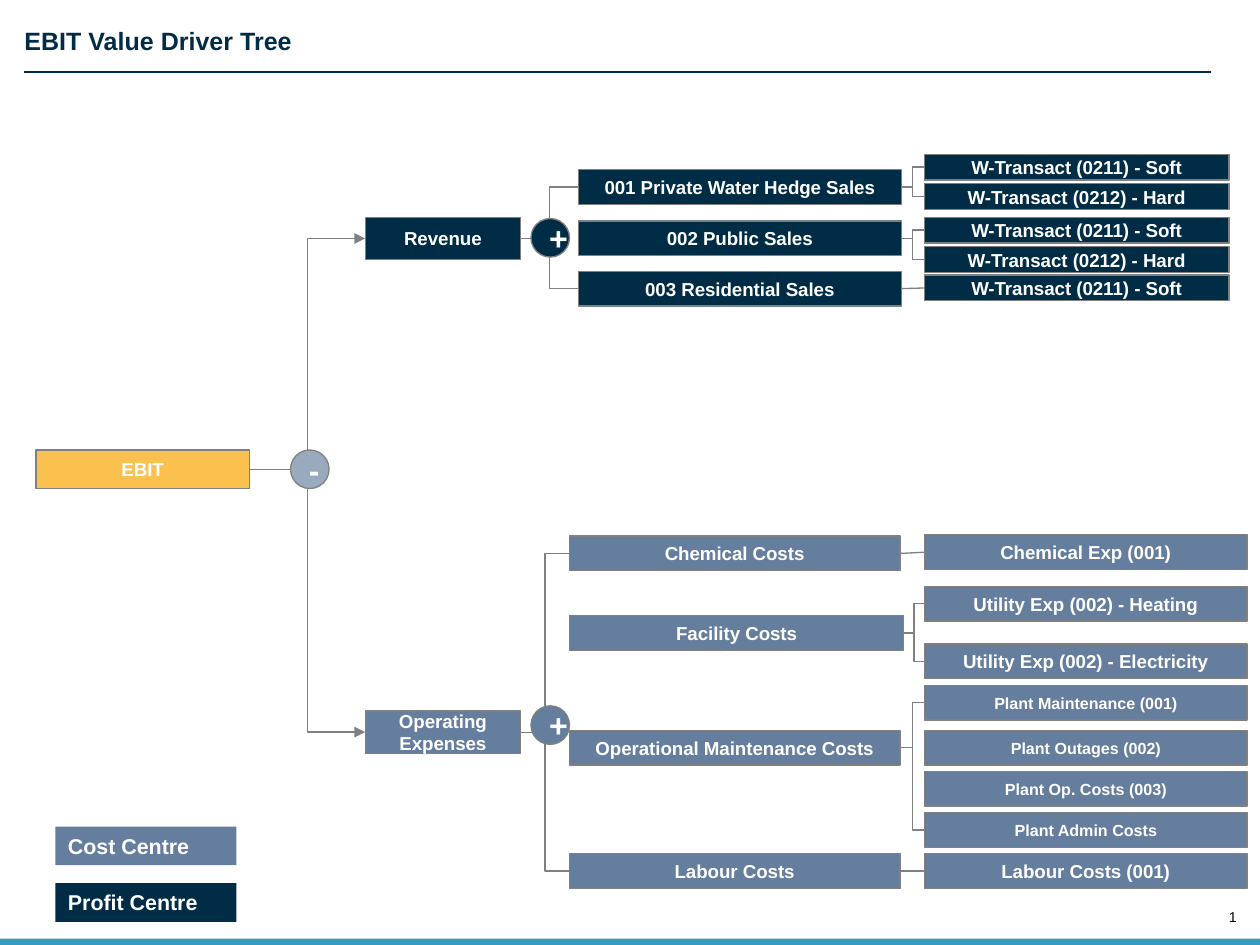
"""Build the EBIT value driver tree slide."""
from pptx import Presentation
from pptx.dml.color import RGBColor
from pptx.enum.dml import MSO_LINE
from pptx.enum.shapes import MSO_CONNECTOR, MSO_SHAPE
from pptx.enum.text import MSO_ANCHOR, PP_ALIGN
from pptx.oxml.ns import qn
from pptx.util import Inches, Pt
from lxml import etree

RECTANGLE, OVAL = MSO_SHAPE.RECTANGLE, MSO_SHAPE.OVAL
STRAIGHT, ELBOW = MSO_CONNECTOR.STRAIGHT, MSO_CONNECTOR.ELBOW
LEFT, CENTER, RIGHT = PP_ALIGN.LEFT, PP_ALIGN.CENTER, PP_ALIGN.RIGHT
TOP, MIDDLE, BOTTOM = MSO_ANCHOR.TOP, MSO_ANCHOR.MIDDLE, MSO_ANCHOR.BOTTOM
SOLID = MSO_LINE.SOLID
NAVY, SLATE, GOLD, MIST = "002C46", "657E9D", "FBC14E", "99AABE"
TEAL, GREY, WHITE, BLACK = "379BBD", "808080", "FFFFFF", "000000"
LEFT_SITE, RIGHT_SITE = 1, 3
ROW_HEIGHT, LEAF_LEFT, CIRCLE_SIZE = 0.27, 7.19, 0.3

# Items are (text, top, linked to parent); accounts add a width and their leaves.
BRANCHES = [
    {"name": "Revenue", "top": 1.69, "fill": NAVY, "left": 4.5,
     "leaf_width": 2.37, "leaf_height": 0.2, "leaf_size": 10.5,
     "accounts": [
         ("001 Private Water Hedge Sales", 1.32, True, 2.51, [
             ("W-Transact (0211) - Soft", 1.2, True),
             ("W-Transact (0212) - Hard", 1.43, True)]),
         ("002 Public Sales", 1.72, False, 2.51, [
             ("W-Transact (0211) - Soft", 1.69, True),
             ("W-Transact (0212) - Hard", 1.92, True)]),
         ("003 Residential Sales", 2.11, True, 2.51, [
             ("W-Transact (0211) - Soft", 2.14, True)])]},
    {"name": "Operating Expenses", "top": 5.53, "fill": SLATE, "left": 4.43,
     "leaf_width": 2.51, "leaf_height": ROW_HEIGHT, "leaf_size": 10.5,
     "accounts": [
         ("Chemical Costs", 4.17, True, 2.57, [("Chemical Exp (001)", 4.16, True)]),
         ("Facility Costs", 4.79, False, 2.6, [
             ("Utility Exp (002) - Heating", 4.56, True),
             ("Utility Exp (002) - Electricity", 5.01, True)]),
         ("Operational Maintenance Costs", 5.68, False, 2.57, [
             ("Plant Maintenance (001)", 5.33, True),
             ("Plant Outages (002)", 5.68, False),
             ("Plant Op. Costs (003)", 6, False),
             ("Plant Admin Costs", 6.32, True)]),
         ("Labour Costs", 6.64, True, 2.57, [("Labour Costs (001)", 6.64, True)])]},
]
OPERATORS = [("-", 2.26, 3.5, MIST), ("+", 4.13, 1.7, NAVY), ("+", 4.13, 5.49, SLATE)]
LEGEND = [("Cost Centre", 6.43, SLATE), ("Profit Centre", 6.87, NAVY)]


def color(code):
    return RGBColor.from_string(code)


def write(shape, text, size, code, align, anchor, bold=True):
    frame = shape.text_frame
    frame.word_wrap = True
    frame.vertical_anchor = anchor
    para = frame.paragraphs[0]
    para.alignment = align
    span = para.add_run()
    span.text = text
    span.font.name, span.font.size, span.font.bold = "Arial", Pt(size), bold
    span.font.color.rgb = color(code)


def clear_margins(shape):
    frame = shape.text_frame
    frame.margin_left = frame.margin_right = frame.margin_top = frame.margin_bottom = 0


def add_box(place, fill, outline=GREY, kind=RECTANGLE):
    box = page.shapes.add_shape(kind, *map(Inches, place))
    box.shadow.inherit = False
    box.fill.solid()
    box.fill.fore_color.rgb = color(fill)
    if outline:
        box.line.color.rgb = color(outline)
        box.line.width = Pt(0.75)
    else:
        box.line.fill.background()
    return box


def add_node(text, place, fill, size=10.5, kind=RECTANGLE):
    node = add_box(place, fill, kind=kind)
    write(node, text, size, WHITE, CENTER, MIDDLE)
    return node


def add_line(kind, code, ends=(0, 0, 0, 0)):
    line = page.shapes.add_connector(kind, *map(Inches, ends))
    line.line.color.rgb = color(code)
    line.line.width = Pt(0.75)
    line.line.dash_style = SOLID
    etree.SubElement(line._element.spPr, qn("a:effectLst"))
    return line


def link(parent, child, arrow=False):
    middles = [node.top + node.height // 2 for node in (parent, child)]
    level = abs(middles[0] - middles[1]) < Inches(0.04)
    line = add_line(STRAIGHT if level else ELBOW, GREY)
    line.begin_connect(parent, RIGHT_SITE)
    line.end_connect(child, LEFT_SITE)
    if arrow:
        etree.SubElement(line.line._get_or_add_ln(), qn("a:tailEnd"), type="triangle")


deck = Presentation()
deck.slide_width, deck.slide_height = Inches(9.8), Inches(7.35)
page = deck.slides.add_slide(deck.slide_layouts[5])

add_box((0, 7.3, 9.8, 0.05), TEAL, None)
page_number = page.shapes.add_textbox(*map(Inches, (9.32, 7.07, 0.3, 0.13)))
clear_margins(page_number)
write(page_number, "1", 8, BLACK, RIGHT, BOTTOM, bold=False)

title = page.shapes.title
title.left, title.top, title.width, title.height = map(Inches, (0.19, 0.2, 9.56, 0.24))
clear_margins(title)
write(title, "EBIT Value Driver Tree", 14, NAVY, LEFT, TOP)
add_line(STRAIGHT, NAVY, (0.19, 0.56, 9.42, 0.56))

ebit = add_node("EBIT", (0.28, 3.5, 1.66, 0.3), GOLD)
for branch in BRANCHES:
    fill = branch["fill"]
    total = add_node(branch["name"], (2.84, branch["top"], 1.21, 0.33), fill)
    link(ebit, total, arrow=True)
    for name, top, linked, width, leaves in branch["accounts"]:
        account = add_node(name, (branch["left"], top, width, ROW_HEIGHT), fill)
        if linked:
            link(total, account)
        for leaf_name, leaf_top, leaf_linked in leaves:
            size = 9 if leaf_name.startswith("Plant") else branch["leaf_size"]
            place = (LEAF_LEFT, leaf_top, branch["leaf_width"], branch["leaf_height"])
            leaf = add_node(leaf_name, place, fill, size)
            if leaf_linked:
                link(account, leaf)

for sign, left, top, fill in OPERATORS:
    add_node(sign, (left, top, CIRCLE_SIZE, CIRCLE_SIZE), fill, 18, OVAL)

for name, top, fill in LEGEND:
    key = add_box((0.43, top, 1.41, 0.3), fill, None)
    write(key, name, 12, WHITE, LEFT, TOP)

deck.save("out.pptx")
